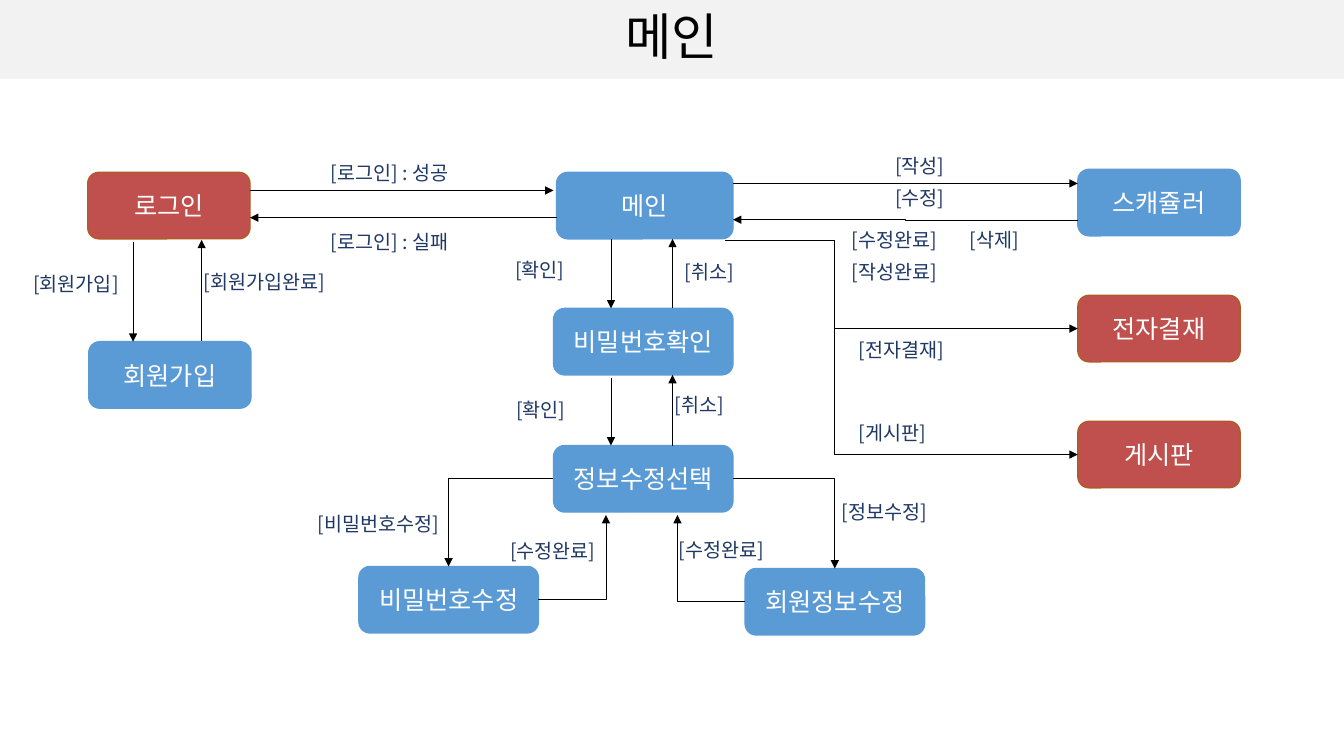
from lxml.etree import SubElement
from pptx import Presentation
from pptx.dml.color import RGBColor
from pptx.enum.shapes import MSO_CONNECTOR, MSO_SHAPE
from pptx.enum.text import MSO_ANCHOR, MSO_AUTO_SIZE, PP_ALIGN
from pptx.oxml.ns import qn
from pptx.util import Inches, Pt

BLACK = RGBColor(0x00, 0x00, 0x00)
WHITE = RGBColor(0xFF, 0xFF, 0xFF)
GRAY = RGBColor(0xF2, 0xF2, 0xF2)
BLUE = RGBColor(0x5B, 0x9B, 0xD5)
RED = RGBColor(0xC0, 0x50, 0x4D)
BROWN = RGBColor(0xAF, 0x5C, 0x24)
NAVY = RGBColor(0x20, 0x38, 0x64)


class FlowPage:
    font_name = "Noto Sans CJK KR"
    node_height = 0.66
    label_size = (1.78, 0.34)

    def __init__(self, deck):
        self.page = deck.slides.add_slide(deck.slide_layouts[6])

    def fill_text(self, shape, text, size, color, align):
        para = shape.text_frame.paragraphs[0]
        para.text = text
        para.alignment = align
        para.font.size = Pt(size)
        para.font.color.rgb = color
        para.font.name = self.font_name
        properties = para._p.pPr.find(qn("a:defRPr"))
        SubElement(properties, qn("a:ea"), typeface=self.font_name)
        return para

    def block(self, kind, left, top, width, height, fill):
        box = self.page.shapes.add_shape(
            kind, Inches(left), Inches(top), Inches(width), Inches(height))
        box.shadow.inherit = False
        box.fill.solid()
        box.fill.fore_color.rgb = fill
        box.text_frame.word_wrap = True
        box.text_frame.vertical_anchor = MSO_ANCHOR.MIDDLE
        return box

    def title(self, text):
        band = self.block(MSO_SHAPE.RECTANGLE, 0, 0, 13.33, 0.78, GRAY)
        band.line.fill.background()
        self.fill_text(band, text, 36, BLACK, PP_ALIGN.CENTER).line_spacing = 0.9

    def node(self, text, left, top, width, fill=BLUE):
        box = self.block(MSO_SHAPE.ROUNDED_RECTANGLE, left, top, width, self.node_height, fill)
        box.line.color.rgb = BROWN if fill == RED else fill
        box.line.width = Pt(1)
        self.fill_text(box, text, 18, WHITE, PP_ALIGN.CENTER)

    def label(self, text, left, top):
        width, height = self.label_size
        box = self.page.shapes.add_textbox(
            Inches(left), Inches(top), Inches(width), Inches(height))
        box.text_frame.word_wrap = True
        box.text_frame.auto_size = MSO_AUTO_SIZE.SHAPE_TO_FIT_TEXT
        self.fill_text(box, text, 14, NAVY, PP_ALIGN.LEFT)

    def arrow(self, start, end, kind=MSO_CONNECTOR.STRAIGHT):
        link = self.page.shapes.add_connector(kind, *map(Inches, start + end))
        link.line.color.rgb = BLACK
        link.line.width = Pt(0.5)
        properties = link._element.spPr
        SubElement(properties.find(qn("a:ln")), qn("a:tailEnd"), type="triangle")
        SubElement(properties, qn("a:effectLst"))
        return properties.find(qn("a:prstGeom"))

    def corner(self, start, end):
        self.arrow(start, end, MSO_CONNECTOR.ELBOW).set("prst", "bentConnector2")

    def step(self, start, end, bend):
        geometry = self.arrow(start, end, MSO_CONNECTOR.ELBOW)
        guides = geometry.find(qn("a:avLst"))
        SubElement(guides, qn("a:gd"), name="adj1", fmla=f"val {round(bend * 100000)}")


deck = Presentation()
deck.slide_width, deck.slide_height = Inches(13.33), Inches(7.5)
flow = FlowPage(deck)
flow.title("메인")

NARROW, WIDE = 1.61, 1.78
CENTER_LEFT, RIGHT_LEFT = 5.49, 10.69
CENTER_RIGHT = CENTER_LEFT + WIDE
DOWN, UP, BRANCH = 6.06, 6.67, 8.28

flow.node("로그인", 0.87, 1.71, NARROW, RED)
flow.node("회원가입", 0.88, 3.39, NARROW)
flow.node("메인", 5.52, 1.71, 1.75)
for text, left, top in [
    ("비밀번호확인", CENTER_LEFT, 3.06),
    ("정보수정선택", CENTER_LEFT, 4.42),
    ("비밀번호수정", 3.56, 5.62),
    ("회원정보수정", 7.39, 5.64),
]:
    flow.node(text, left, top, WIDE)
for row, (text, fill) in enumerate([("스캐쥴러", BLUE), ("전자결재", RED), ("게시판", RED)]):
    flow.node(text, RIGHT_LEFT, 1.68 + 1.25 * row, NARROW, fill)

for start, end in [
    ((1.32, 2.4), (1.32, 3.39)),
    ((2, 3.38), (2, 2.38)),
    ((2.48, 1.89), (CENTER_LEFT, 1.89)),
    ((5.52, 2.16), (2.48, 2.16)),
    ((CENTER_RIGHT, 1.82), (RIGHT_LEFT, 1.82)),
    ((DOWN, 2.37), (DOWN, 3.06)),
    ((DOWN, 3.75), (DOWN, 4.42)),
    ((UP, 3.06), (UP, 2.37)),
    ((UP, 4.42), (UP, 3.72)),
]:
    flow.arrow(start, end)

for start, end in [
    ((CENTER_LEFT, 4.75), (4.45, 5.62)),
    ((CENTER_RIGHT, 4.75), (BRANCH, 5.64)),
    ((7.39, 5.97), (6.72, 5.11)),
    ((5.34, 5.95), (6.01, 5.11)),
]:
    flow.corner(start, end)

flow.step((RIGHT_LEFT, 2.19), (CENTER_RIGHT, 2.18), 0.5)
flow.step((7.19, 2.38), (RIGHT_LEFT, 3.26), 0.31)
flow.step((BRANCH, 2.38), (RIGHT_LEFT, 4.51), 0)

for text, left, top in [
    ("[회원가입]", 0.23, 2.65),
    ("[회원가입완료]", 1.92, 2.63),
    ("[로그인] : 성공", 3.18, 1.55),
    ("[로그인] : 실패", 3.18, 2.23),
    ("[작성]", 8.78, 1.48),
    ("[수정]", 8.78, 1.8),
    ("[수정완료]", 8.35, 2.21),
    ("[삭제]", 9.52, 2.21),
    ("[작성완료]", 8.35, 2.53),
    ("[전자결재]", 8.42, 3.3),
    ("[게시판]", 8.42, 4.13),
    ("[확인]", 5.01, 2.51),
    ("[취소]", 6.69, 2.53),
    ("[확인]", 5.02, 3.9),
    ("[취소]", 6.59, 3.85),
    ("[정보수정]", 8.25, 4.91),
    ("[비밀번호수정]", 3.05, 5.03),
    ("[수정완료]", 4.96, 5.3),
    ("[수정완료]", 6.63, 5.29),
]:
    flow.label(text, left, top)

deck.save("out.pptx")
